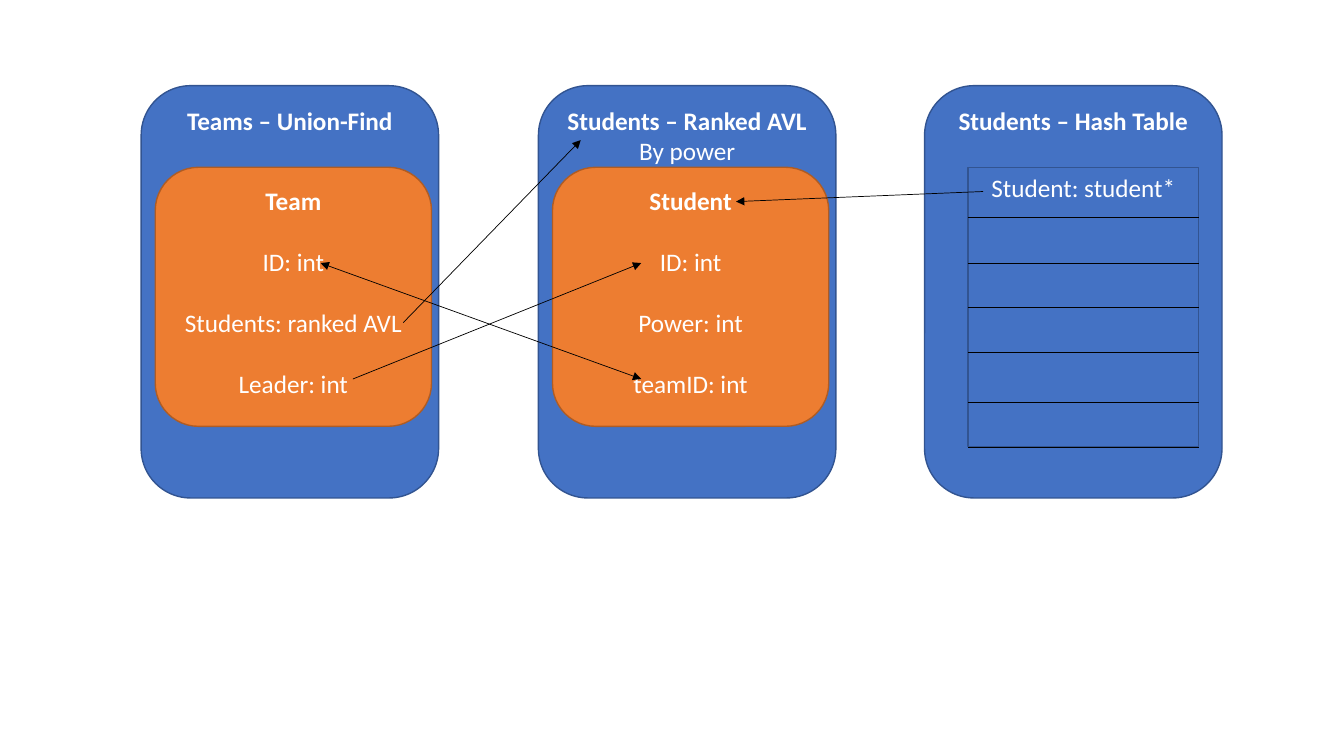
from lxml import etree
from pptx import Presentation
from pptx.dml.color import RGBColor
from pptx.enum.shapes import MSO_CONNECTOR, MSO_SHAPE
from pptx.enum.text import MSO_ANCHOR, PP_ALIGN
from pptx.oxml.ns import qn
from pptx.util import Inches, Pt

ROUNDED, RECT = MSO_SHAPE.ROUNDED_RECTANGLE, MSO_SHAPE.RECTANGLE
STRAIGHT = MSO_CONNECTOR.STRAIGHT
TOP, CENTER = MSO_ANCHOR.TOP, PP_ALIGN.CENTER

BLUE = RGBColor(0x44, 0x72, 0xC4)
BLUE_EDGE = RGBColor(0x32, 0x54, 0x91)
ORANGE = RGBColor(0xED, 0x7D, 0x31)
ORANGE_EDGE = RGBColor(0xAF, 0x5C, 0x24)
WHITE = RGBColor(0xFF, 0xFF, 0xFF)
BLACK = RGBColor(0, 0, 0)

FONT, TEXT_SIZE = "Calibri", Pt(18)
FIELD_GAP = Pt(22)  # one empty line between the fields of a record
PANEL_TOP, PANEL_W, PANEL_H = 0.85, 2.95, 4.09
INNER_TOP = 1.66
TEAMS_X, AVL_X, HASH_X = 1.4, 5.34, 9.17
SLOTS_X, SLOTS_W, SLOTS_H = 9.6, 2.29, 2.77


def add_box(slide, kind, box, fill, edge, lines, bold_first=True, gap=Pt(0)):
    sp = slide.shapes.add_shape(kind, *map(Inches, box))
    sp.shadow.inherit = False
    sp.fill.solid()
    sp.fill.fore_color.rgb = fill
    sp.line.color.rgb = edge
    sp.line.width = Pt(1)
    tf = sp.text_frame
    tf.word_wrap = True
    tf.vertical_anchor = TOP
    tf.text = "\n".join(lines)
    for i, p in enumerate(tf.paragraphs):
        p.alignment = CENTER
        p.space_before = gap if i else Pt(0)
        font = p.runs[0].font
        font.name, font.size = FONT, TEXT_SIZE
        font.color.rgb = WHITE
        font.bold = bold_first and i == 0


def add_panel(slide, x, lines):
    add_box(slide, ROUNDED, (x, PANEL_TOP, PANEL_W, PANEL_H),
            BLUE, BLUE_EDGE, lines)


def add_record(slide, panel_x, lines):
    add_box(slide, ROUNDED, (panel_x + 0.14, INNER_TOP, 2.74, 2.57),
            ORANGE, ORANGE_EDGE, lines, gap=FIELD_GAP)


def add_line(slide, start, end, arrowheads=()):
    line = slide.shapes.add_connector(STRAIGHT, *map(Inches, start + end))
    line.line.color.rgb = BLACK
    line.line.width = Pt(0.5)
    ln = line.line._get_or_add_ln()
    for tag in arrowheads:
        etree.SubElement(ln, qn(tag)).set("type", "triangle")
    etree.SubElement(line._element.spPr, qn("a:effectLst"))


def main():
    prs = Presentation()
    prs.slide_width, prs.slide_height = Inches(13.33), Inches(7.5)
    slide = prs.slides.add_slide(prs.slide_layouts[6])

    # Teams and students, each panel with its record
    add_panel(slide, TEAMS_X, ["Teams – Union-Find"])
    add_record(slide, TEAMS_X,
               ["Team", "ID: int", "Students: ranked AVL", "Leader: int"])
    add_panel(slide, AVL_X, ["Students – Ranked AVL", "By power"])
    add_record(slide, AVL_X,
               ["Student", "ID: int", "Power: int", "teamID: int"])

    # Hash table with its slots
    add_panel(slide, HASH_X, ["Students – Hash Table"])
    add_box(slide, RECT, (SLOTS_X, INNER_TOP, SLOTS_W, SLOTS_H),
            BLUE, BLUE_EDGE, ["Student: student*"], bold_first=False)
    for y in (2.16, 2.61, 3.05, 3.5, 3.99, 4.44):
        add_line(slide, (SLOTS_X, y), (SLOTS_X + SLOTS_W, y))

    # References between the structures
    end_only, both = ("a:tailEnd",), ("a:headEnd", "a:tailEnd")
    for start, end, heads in (
        ((3.18, 2.61), (6.36, 3.76), both),      # team ID - teamID
        ((4.0, 3.2), (5.76, 1.39), end_only),    # team's students - AVL
        ((3.5, 3.76), (6.36, 2.61), end_only),   # leader - student ID
        ((9.75, 1.9), (7.3, 2.0), end_only),     # hash slot - student
    ):
        add_line(slide, start, end, heads)

    prs.save("out.pptx")


main()
